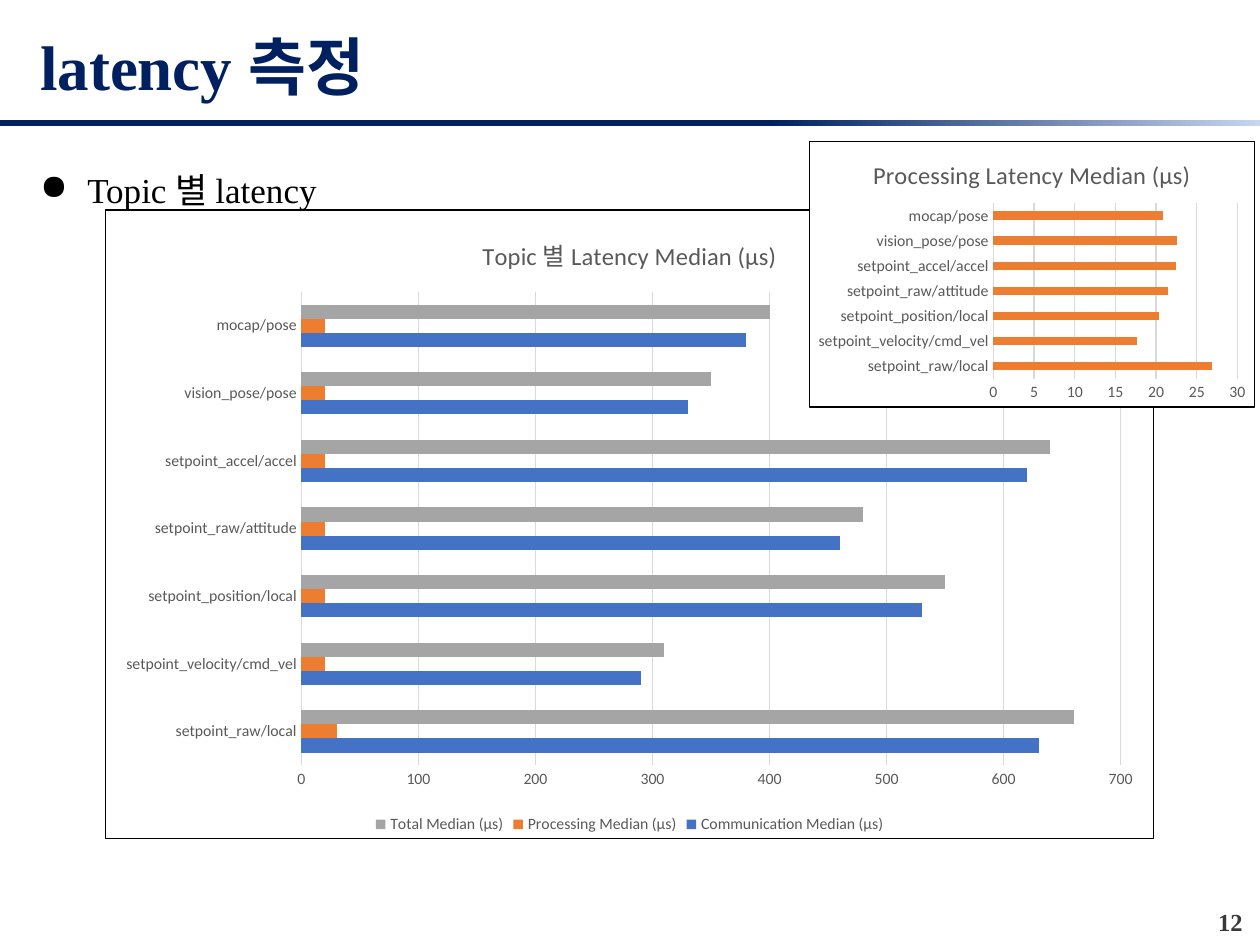
from dataclasses import dataclass

from lxml.etree import SubElement
from pptx import Presentation
from pptx.chart.data import CategoryChartData
from pptx.dml.color import RGBColor
from pptx.enum.chart import XL_CHART_TYPE, XL_LEGEND_POSITION, XL_TICK_MARK
from pptx.enum.shapes import MSO_SHAPE
from pptx.enum.text import MSO_ANCHOR, PP_ALIGN
from pptx.oxml import parse_xml
from pptx.oxml.ns import nsdecls, qn
from pptx.util import Cm, Pt

NAVY = RGBColor(0x00, 0x20, 0x60)
PALE_BLUE = RGBColor(0xC7, 0xD5, 0xED)
BLACK = RGBColor(0x00, 0x00, 0x00)
DARK_GRAY = RGBColor(0x3B, 0x38, 0x38)
LABEL_GRAY = RGBColor(0x59, 0x59, 0x59)
GRID_GRAY = RGBColor(0xD9, 0xD9, 0xD9)
BLUE = RGBColor(0x44, 0x72, 0xC4)
ORANGE = RGBColor(0xED, 0x7D, 0x31)
GRAY = RGBColor(0xA5, 0xA5, 0xA5)

TOPICS = [
    "setpoint_raw/local", "setpoint_velocity/cmd_vel", "setpoint_position/local",
    "setpoint_raw/attitude", "setpoint_accel/accel", "vision_pose/pose", "mocap/pose",
]


@dataclass
class Box:
    """Position and size in centimetres."""
    left: float
    top: float
    width: float
    height: float

    def lengths(self) -> tuple:
        return Cm(self.left), Cm(self.top), Cm(self.width), Cm(self.height)


@dataclass
class Label:
    text: str
    box: Box
    size: int
    color: RGBColor
    bold: bool = False
    align: PP_ALIGN = PP_ALIGN.LEFT
    anchor: MSO_ANCHOR = MSO_ANCHOR.TOP


@dataclass
class Series:
    name: str
    values: list
    color: RGBColor


@dataclass
class LatencyChart:
    title: str
    box: Box
    series: list
    maximum: int
    step: int
    legend: bool = False


def add_label(slide, label: Label):
    tf = slide.shapes.add_textbox(*label.box.lengths()).text_frame
    tf.word_wrap = True
    tf.vertical_anchor = label.anchor
    p = tf.paragraphs[0]
    p.text = label.text
    p.alignment = label.align
    font = p.runs[0].font
    font.name, font.size, font.bold = "Times New Roman", Pt(label.size), label.bold
    font.color.rgb = label.color
    return p


def add_bullet(p) -> None:
    p.line_spacing = 1.5
    pPr = p._p.get_or_add_pPr()
    pPr.set("marL", str(Cm(0.95)))
    pPr.set("indent", str(-Cm(0.95)))
    SubElement(pPr, qn("a:buChar")).set("char", "●")


def style_font(font, size: int, color: RGBColor) -> None:
    font.name, font.size, font.bold = "Calibri", Pt(size), False
    font.color.rgb = color


def style_line(line, color: RGBColor) -> None:
    line.color.rgb = color
    line.width = Pt(0.75)


def add_frame(chart) -> None:
    """Give the chart area a white fill and a thin black border."""
    chart._chartSpace.find(qn("c:chart")).addnext(parse_xml(
        f'<c:spPr {nsdecls("c", "a")}>'
        '<a:solidFill><a:srgbClr val="FFFFFF"/></a:solidFill>'
        f'<a:ln w="{Pt(0.75)}"><a:solidFill><a:srgbClr val="000000"/></a:solidFill></a:ln>'
        '</c:spPr>'))


def add_latency_chart(slide, spec: LatencyChart) -> None:
    data = CategoryChartData()
    data.categories = TOPICS
    for s in spec.series:
        data.add_series(s.name, s.values)
    chart = slide.shapes.add_chart(
        XL_CHART_TYPE.BAR_CLUSTERED, *spec.box.lengths(), data).chart
    style_font(chart.font, 10, BLACK)
    add_frame(chart)

    # Title and legend
    chart.has_title = True
    tf = chart.chart_title.text_frame
    tf.text = spec.title
    style_font(tf.paragraphs[0].runs[0].font, 14, LABEL_GRAY)
    chart.chart_title.include_in_layout = False
    chart.has_legend = spec.legend
    if spec.legend:
        chart.legend.position = XL_LEGEND_POSITION.BOTTOM
        chart.legend.include_in_layout = False
        style_font(chart.legend.font, 9, LABEL_GRAY)

    # Axes
    for axis in (chart.category_axis, chart.value_axis):
        axis.major_tick_mark = axis.minor_tick_mark = XL_TICK_MARK.NONE
        style_font(axis.tick_labels.font, 9, LABEL_GRAY)
    style_line(chart.category_axis.format.line, GRID_GRAY)
    values = chart.value_axis
    values.minimum_scale, values.maximum_scale = 0, spec.maximum
    values.major_unit = spec.step
    values.format.line.fill.background()
    style_line(values.major_gridlines.format.line, GRID_GRAY)

    # Bars
    plot = chart.plots[0]
    plot.gap_width = 182
    plot.vary_by_categories = False
    for bars, s in zip(plot.series, spec.series):
        bars.format.fill.solid()
        bars.format.fill.fore_color.rgb = s.color


def add_title_rule(slide, box: Box) -> None:
    sp = slide.shapes.add_shape(MSO_SHAPE.RECTANGLE, *box.lengths())
    sp.shadow.inherit = False
    sp.line.fill.background()
    sp.fill.gradient()
    sp.fill.gradient_angle = 0
    stops = ((0.61, NAVY), (1, PALE_BLUE))
    for stop, (position, color) in zip(sp.fill.gradient_stops, stops):
        stop.position = position
        stop.color.rgb = color


def main() -> None:
    prs = Presentation()
    prs.slide_width, prs.slide_height = Cm(25.4), Cm(19.05)
    slide = prs.slides.add_slide(prs.slide_layouts[6])

    # Text
    add_bullet(add_label(slide, Label(
        "Topic 별 latency", Box(0.56, 2.84, 24.13, 1.37), 20, BLACK)))
    add_label(slide, Label("12", Box(24.23, 18.16, 1.07, 0.76), 14, DARK_GRAY,
                           bold=True, align=PP_ALIGN.RIGHT))
    add_label(slide, Label("latency 측정", Box(0.56, 0.3, 24.13, 2.03), 36, NAVY,
                           bold=True, anchor=MSO_ANCHOR.MIDDLE))
    add_title_rule(slide, Box(0, 2.41, 25.4, 0.13))

    # Charts: all latencies, then processing alone on top
    add_latency_chart(slide, LatencyChart(
        "Topic 별 Latency Median (μs)", Box(2.11, 4.22, 21.16, 12.7),
        [Series("Communication Median (μs)", [630, 290, 530, 460, 620, 330, 380], BLUE),
         Series("Processing Median (μs)", [30, 20, 20, 20, 20, 20, 20], ORANGE),
         Series("Total Median (μs)", [660, 310, 550, 480, 640, 350, 400], GRAY)],
        maximum=700, step=100, legend=True))
    add_latency_chart(slide, LatencyChart(
        "Processing Latency Median (μs)", Box(16.31, 2.84, 8.99, 5.38),
        [Series("Series 1", [26.9, 17.6, 20.3, 21.5, 22.4, 22.6, 20.8], ORANGE)],
        maximum=30, step=5))

    prs.save("out.pptx")


if __name__ == "__main__":
    main()
